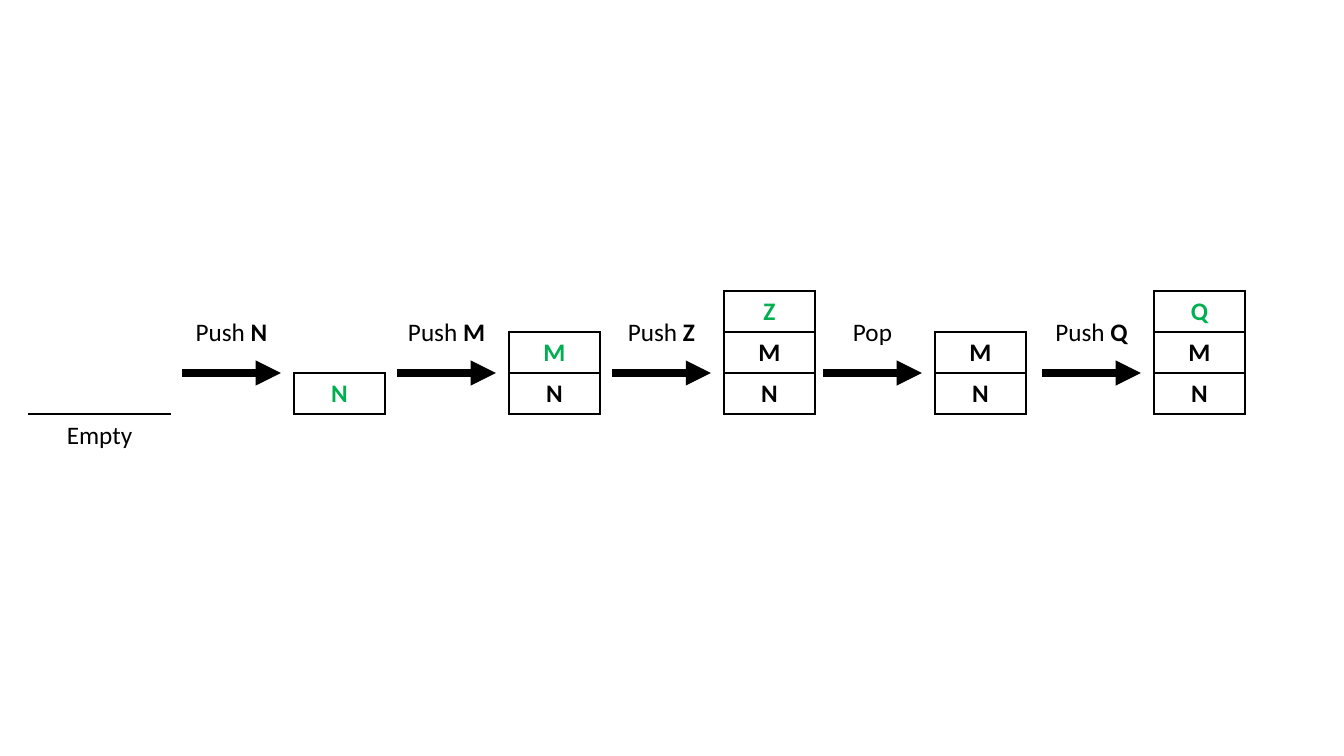
from lxml.etree import SubElement
from pptx import Presentation
from pptx.dml.color import RGBColor
from pptx.enum.shapes import MSO_CONNECTOR
from pptx.enum.text import MSO_AUTO_SIZE, PP_ALIGN
from pptx.oxml.ns import qn
from pptx.util import Pt

SCALE = 914400 / 100.8
BLACK = RGBColor(0x00, 0x00, 0x00)
GREEN = RGBColor(0x00, 0xB0, 0x50)
BASELINE = 414
ROW_HEIGHT = 41
STACK_WIDTH = 91
ARROW_WIDTH = 99
STACK_OFFSET = 112
LABEL_HEIGHT = 40


def emu(pixels):
    return round(pixels * SCALE)


def add_text(frame, text, bold=False, color=BLACK, size=18, font="Calibri"):
    para = frame.paragraphs[0]
    para.alignment = PP_ALIGN.CENTER
    span = para.add_run()
    span.text = text
    span.font.name = font
    span.font.size = Pt(size)
    span.font.bold = bold
    span.font.color.rgb = color


def add_label(page, left, top, width, text, bold_text=""):
    box = page.shapes.add_textbox(emu(left), emu(top), emu(width), emu(LABEL_HEIGHT))
    frame = box.text_frame
    frame.word_wrap = True
    frame.auto_size = MSO_AUTO_SIZE.SHAPE_TO_FIT_TEXT
    add_text(frame, text)
    if bold_text:
        add_text(frame, bold_text, bold=True)


def add_line(page, left, top, width, weight, arrow=False):
    line = page.shapes.add_connector(
        MSO_CONNECTOR.STRAIGHT, emu(left), emu(top), emu(left + width), emu(top)
    )
    line.line.color.rgb = BLACK
    line.line.width = Pt(weight)
    if arrow:
        SubElement(line.line._get_or_add_ln(), qn("a:tailEnd"), type="triangle")
    SubElement(line._element.spPr, qn("a:effectLst"))


def add_borders(cell, weight=1):
    properties = cell._tc.get_or_add_tcPr()
    for side in ("lnL", "lnR", "lnT", "lnB"):
        border = SubElement(properties, qn("a:" + side), w=str(Pt(weight)))
        fill = SubElement(border, qn("a:solidFill"))
        SubElement(fill, qn("a:srgbClr"), val=str(BLACK))


def add_stack(page, left, bottom, items, pushed):
    height = ROW_HEIGHT * len(items)
    table = page.shapes.add_table(
        len(items), 1, emu(left), emu(bottom - height), emu(STACK_WIDTH), emu(height)
    ).table
    table.first_row = False
    table.horz_banding = False
    for index, item in enumerate(items):
        cell = table.cell(index, 0)
        add_borders(cell)
        cell.fill.background()
        color = GREEN if pushed and index == 0 else BLACK
        add_text(cell.text_frame, item, bold=True, color=color)


def add_empty_stack(page, left, bottom, width):
    add_line(page, left, bottom, width, 1.5)
    add_label(page, left, bottom, width, "Empty")


def add_step(page, left, bottom, pushed, items):
    action = "Push " if pushed else "Pop"
    add_label(page, left, bottom - 103, ARROW_WIDTH, action, pushed)
    add_line(page, left, bottom - ROW_HEIGHT, ARROW_WIDTH, 6, arrow=True)
    add_stack(page, left + STACK_OFFSET, bottom, items, pushed)


deck = Presentation()
deck.slide_width = emu(1344)
deck.slide_height = emu(756)
page = deck.slides.add_slide(deck.slide_layouts[6])

add_empty_stack(page, 28, BASELINE, 143)
stack = ""
for left, pushed in ((182, "N"), (397, "M"), (612, "Z"), (823, ""), (1042, "Q")):
    stack = pushed + stack if pushed else stack[1:]
    add_step(page, left, BASELINE, pushed, stack)

deck.save("out.pptx")
